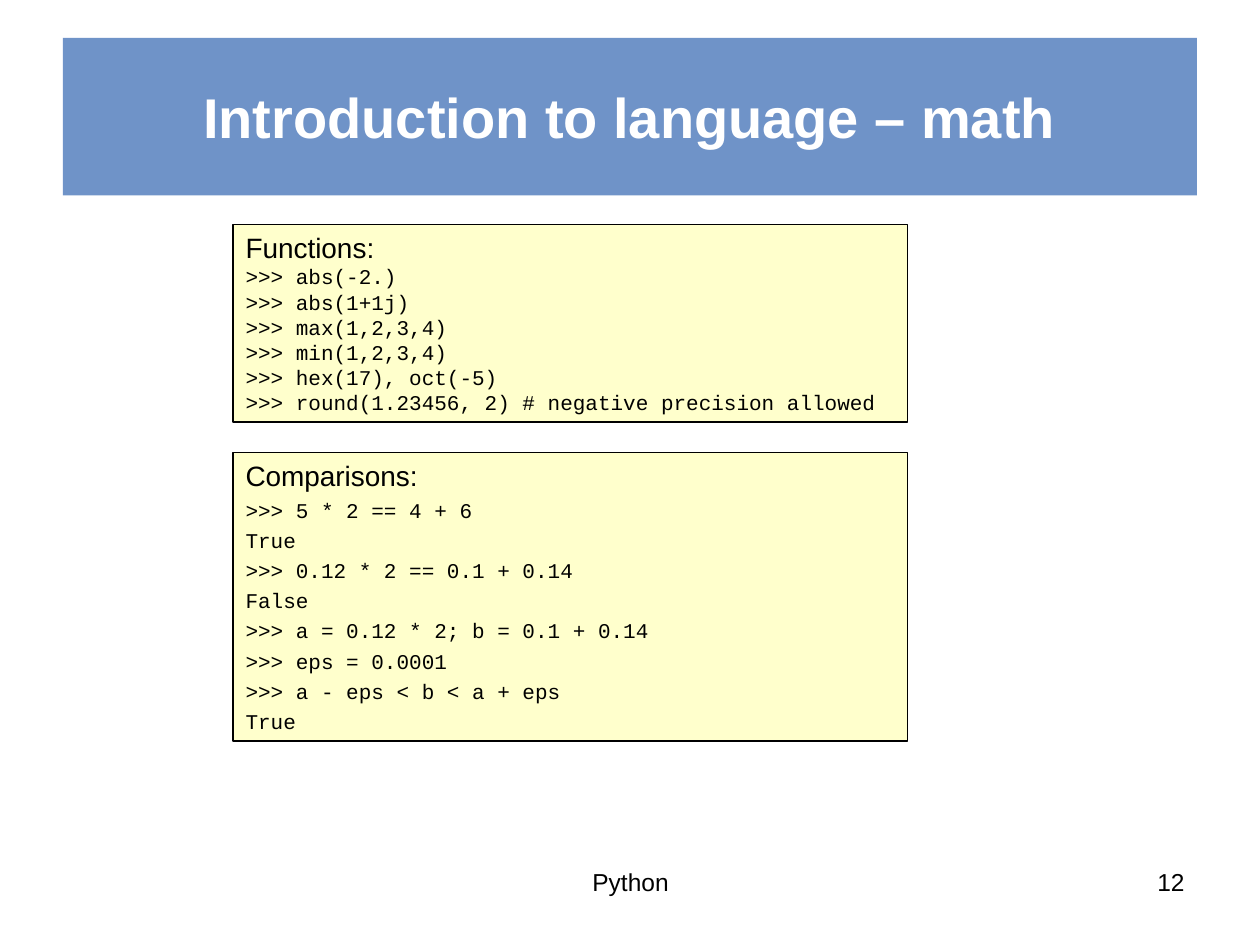
from dataclasses import dataclass

from lxml import etree
from pptx import Presentation
from pptx.dml.color import RGBColor
from pptx.enum.shapes import MSO_SHAPE
from pptx.enum.text import MSO_ANCHOR, MSO_AUTO_SIZE, PP_ALIGN
from pptx.oxml.ns import qn
from pptx.util import Inches, Pt

RECTANGLE = MSO_SHAPE.RECTANGLE
TOP, MIDDLE = MSO_ANCHOR.TOP, MSO_ANCHOR.MIDDLE
GROW = MSO_AUTO_SIZE.SHAPE_TO_FIT_TEXT
LEFT, CENTER, RIGHT = PP_ALIGN.LEFT, PP_ALIGN.CENTER, PP_ALIGN.RIGHT

SLIDE_WIDTH, SLIDE_HEIGHT = Inches(10), Inches(7.5)
COLUMN, ROW = SLIDE_WIDTH / 100, SLIDE_HEIGHT / 75
BLACK, WHITE = "000000", "FFFFFF"
BANNER_BLUE, PANEL_YELLOW = "4775B9", "FFFFCC"
BANNER_OPACITY = 78
SANS, MONO = "Arial", "Courier New"
PANEL_COLUMN, PANEL_COLUMNS = 18.5, 53.5
FOOTER_ROW, FOOTER_ROWS = 68.3, 5.2


@dataclass(frozen=True)
class Panel:
    row: float
    rows: float
    heading: str
    code: str
    line_spacing: float


@dataclass(frozen=True)
class Footer:
    column: float
    columns: float
    text: str
    alignment: PP_ALIGN


PANELS = (
    Panel(17.8, 15.7, "Functions:", """>>> abs(-2.)
>>> abs(1+1j)
>>> max(1,2,3,4)
>>> min(1,2,3,4)
>>> hex(17), oct(-5)
>>> round(1.23456, 2) # negative precision allowed""", 1.0),
    Panel(35.9, 22.9, "Comparisons:", """>>> 5 * 2 == 4 + 6
True
>>> 0.12 * 2 == 0.1 + 0.14
False
>>> a = 0.12 * 2; b = 0.1 + 0.14
>>> eps = 0.0001
>>> a - eps < b < a + eps
True""", 1.2),
)
FOOTERS = (
    Footer(71.7, 23.3, "12", RIGHT),
    Footer(34.2, 31.7, "Python", CENTER),
)


def color(value: str) -> RGBColor:
    return RGBColor.from_string(value)


def grid(column: float, row: float, columns: float, rows: float) -> tuple[int, ...]:
    return (round(column * COLUMN), round(row * ROW),
            round(columns * COLUMN), round(rows * ROW))


def add_rectangle(slide, area: tuple[int, ...], fill: str):
    shape = slide.shapes.add_shape(RECTANGLE, *area)
    shape.shadow.inherit = False
    shape.fill.solid()
    shape.fill.fore_color.rgb = color(fill)
    shape.line.fill.background()
    shape.text_frame.word_wrap = True
    return shape


def write(paragraph, text: str, size: float, font: str = SANS, ink: str = BLACK,
          alignment: PP_ALIGN = LEFT, bold: bool = False) -> None:
    paragraph.text = text
    paragraph.alignment = alignment
    paragraph.font.size = Pt(size)
    paragraph.font.name = font
    paragraph.font.bold = bold
    paragraph.font.color.rgb = color(ink)


def add_title(slide, text: str) -> None:
    banner = add_rectangle(slide, grid(5, 3, 90, 12.5), BANNER_BLUE)
    fill_color = next(banner.element.spPr.iter(qn("a:srgbClr")))
    etree.SubElement(fill_color, qn("a:alpha"), val=str(BANNER_OPACITY * 1000))
    banner.text_frame.vertical_anchor = MIDDLE
    write(banner.text_frame.paragraphs[0], text, 32, ink=WHITE,
          alignment=CENTER, bold=True)


def add_panel(slide, panel: Panel) -> None:
    area = grid(PANEL_COLUMN, panel.row, PANEL_COLUMNS, panel.rows)
    shape = add_rectangle(slide, area, PANEL_YELLOW)
    shape.line.color.rgb = color(BLACK)
    shape.line.width = Pt(0.75)
    frame = shape.text_frame
    frame.vertical_anchor = TOP
    frame.auto_size = GROW
    write(frame.paragraphs[0], panel.heading, 16)
    for line in panel.code.splitlines():
        paragraph = frame.add_paragraph()
        write(paragraph, line, 12, MONO)
        paragraph.line_spacing = panel.line_spacing


def add_footer(slide, footer: Footer) -> None:
    area = grid(footer.column, FOOTER_ROW, footer.columns, FOOTER_ROWS)
    frame = slide.shapes.add_textbox(*area).text_frame
    frame.word_wrap = True
    write(frame.paragraphs[0], footer.text, 14, alignment=footer.alignment)


def main() -> None:
    presentation = Presentation()
    presentation.slide_width = SLIDE_WIDTH
    presentation.slide_height = SLIDE_HEIGHT
    slide = presentation.slides.add_slide(presentation.slide_layouts[6])
    add_title(slide, "Introduction to language – math")
    for panel in PANELS:
        add_panel(slide, panel)
    for footer in FOOTERS:
        add_footer(slide, footer)
    presentation.save("out.pptx")


if __name__ == "__main__":
    main()
